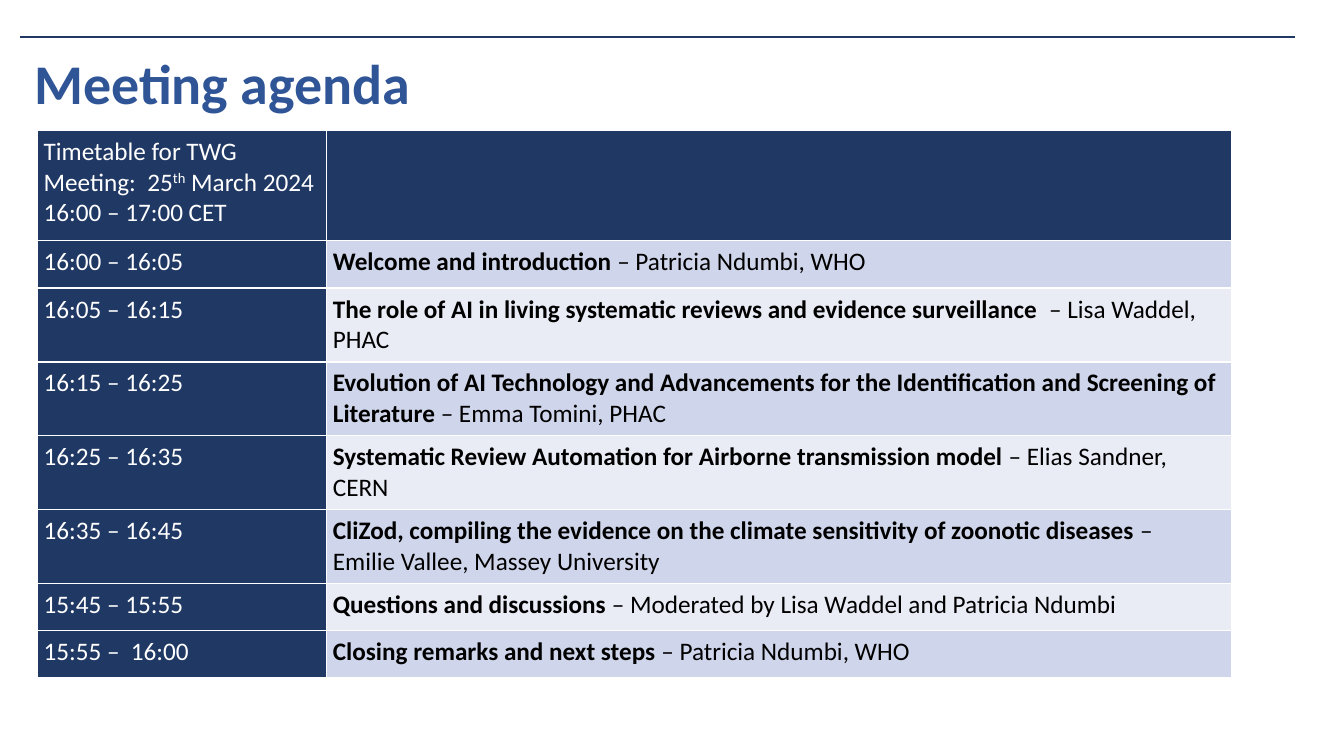
from dataclasses import dataclass

from lxml import etree
from pptx import Presentation
from pptx.dml.color import RGBColor
from pptx.enum.shapes import MSO_CONNECTOR
from pptx.enum.text import MSO_ANCHOR, PP_ALIGN
from pptx.oxml.ns import qn
from pptx.util import Pt

STRAIGHT = MSO_CONNECTOR.STRAIGHT
MIDDLE = MSO_ANCHOR.MIDDLE
LEFT = PP_ALIGN.LEFT

FONT = "Calibri"
COLOURS = {
    "navy": "203864",
    "title": "2F5597",
    "white": "FFFFFF",
    "black": "000000",
    "band_dark": "CFD5EA",
    "band_light": "E9EBF5",
}
COLUMN_WIDTHS = (206.6, 646.6)
HEADER_HEIGHT = 79
SINGLE, DOUBLE = 33.7, 52.8
CELL_MARGIN = Pt(4.3)


@dataclass
class TextPart:
    text: str
    colour: str = "white"
    bold: bool = False
    superscript: bool = False


@dataclass
class Session:
    time: str
    topic: str
    speaker: str
    height: float = SINGLE


HEADER = [
    [TextPart("Timetable for TWG Meeting:  25"), TextPart("th", superscript=True), TextPart(" March 2024")],
    [TextPart("16:00 – 17:00 CET")],
]
SESSIONS = [
    Session("16:00 – 16:05", "Welcome and introduction ", "– Patricia Ndumbi, WHO"),
    Session("16:05 – 16:15", "The role of AI in living systematic reviews and evidence surveillance  ",
            "– Lisa Waddel, PHAC", DOUBLE),
    Session("16:15 – 16:25", "Evolution of AI Technology and Advancements for the Identification "
            "and Screening of Literature ", "– Emma Tomini, PHAC", DOUBLE),
    Session("16:25 – 16:35", "Systematic Review Automation for Airborne transmission model ",
            "– Elias Sandner, CERN", DOUBLE),
    Session("16:35 – 16:45", "CliZod, compiling the evidence on the climate sensitivity of zoonotic diseases ",
            "–  Emilie Vallee, Massey University", DOUBLE),
    Session("15:45 – 15:55", "Questions and discussions ", "– Moderated by Lisa Waddel and Patricia Ndumbi"),
    Session("15:55 –  16:00", "Closing remarks and next steps ", "– Patricia Ndumbi, WHO"),
]


def colour(name: str) -> RGBColor:
    return RGBColor.from_string(COLOURS[name])


def add_borders(cell) -> None:
    """Put thin white lines around a cell, ahead of its fill."""
    properties = cell._tc.get_or_add_tcPr()
    for index, side in enumerate(("lnL", "lnR", "lnT", "lnB")):
        line = etree.Element(qn(f"a:{side}"), w=str(Pt(1)))
        fill = etree.SubElement(line, qn("a:solidFill"))
        etree.SubElement(fill, qn("a:srgbClr"), val=COLOURS["white"])
        properties.insert(index, line)


def fill_cell(cell, fill: str, paragraphs: list[list[TextPart]]) -> None:
    cell.fill.solid()
    cell.fill.fore_color.rgb = colour(fill)
    cell.margin_left = cell.margin_right = CELL_MARGIN
    cell.margin_top = cell.margin_bottom = CELL_MARGIN
    add_borders(cell)
    for index, parts in enumerate(paragraphs):
        text_frame = cell.text_frame
        paragraph = text_frame.paragraphs[0] if index == 0 else text_frame.add_paragraph()
        for part in parts:
            run = paragraph.add_run()
            run.text = part.text
            run.font.name = FONT
            run.font.size = Pt(18)
            run.font.bold = part.bold
            run.font.color.rgb = colour(part.colour)
            if part.superscript:
                run._r.get_or_add_rPr().set("baseline", "30000")


def add_title(slide) -> None:
    title = slide.shapes.title
    title.left, title.top, title.width, title.height = Pt(17.3), Pt(30.2), Pt(828), Pt(62.6)
    text_frame = title.text_frame
    text_frame.text = "Meeting agenda"
    text_frame.word_wrap = True
    text_frame.vertical_anchor = MIDDLE
    paragraph = text_frame.paragraphs[0]
    paragraph.alignment = LEFT
    paragraph.line_spacing = 0.9
    font = paragraph.runs[0].font
    font.name, font.size, font.bold = FONT, Pt(40), True
    font.color.rgb = colour("title")


def add_agenda(slide) -> None:
    heights = [HEADER_HEIGHT] + [session.height for session in SESSIONS]
    table = slide.shapes.add_table(
        len(heights), len(COLUMN_WIDTHS), Pt(26.9), Pt(93.1), Pt(sum(COLUMN_WIDTHS)), Pt(sum(heights))
    ).table
    for column, width in zip(table.columns, COLUMN_WIDTHS):
        column.width = Pt(width)
    for row, height in zip(table.rows, heights):
        row.height = Pt(height)

    fill_cell(table.cell(0, 0), "navy", HEADER)
    fill_cell(table.cell(0, 1), "navy", [])
    for row, session in enumerate(SESSIONS, start=1):
        band = "band_dark" if row % 2 else "band_light"
        fill_cell(table.cell(row, 0), "navy", [[TextPart(session.time)]])
        fill_cell(table.cell(row, 1), band,
                  [[TextPart(session.topic, "black", bold=True), TextPart(session.speaker, "black")]])


def add_top_rule(slide) -> None:
    rule = slide.shapes.add_connector(STRAIGHT, Pt(14.4), Pt(26.3), Pt(925.2), Pt(26.3))
    rule.line.color.rgb = colour("navy")
    rule.line.width = Pt(1.5)
    etree.SubElement(rule._element.spPr, qn("a:effectLst"))


def main() -> None:
    presentation = Presentation()
    presentation.slide_width, presentation.slide_height = Pt(960), Pt(540)
    slide = presentation.slides.add_slide(presentation.slide_layouts[5])  # title only
    add_title(slide)
    add_agenda(slide)
    add_top_rule(slide)
    presentation.save("out.pptx")


if __name__ == "__main__":
    main()
